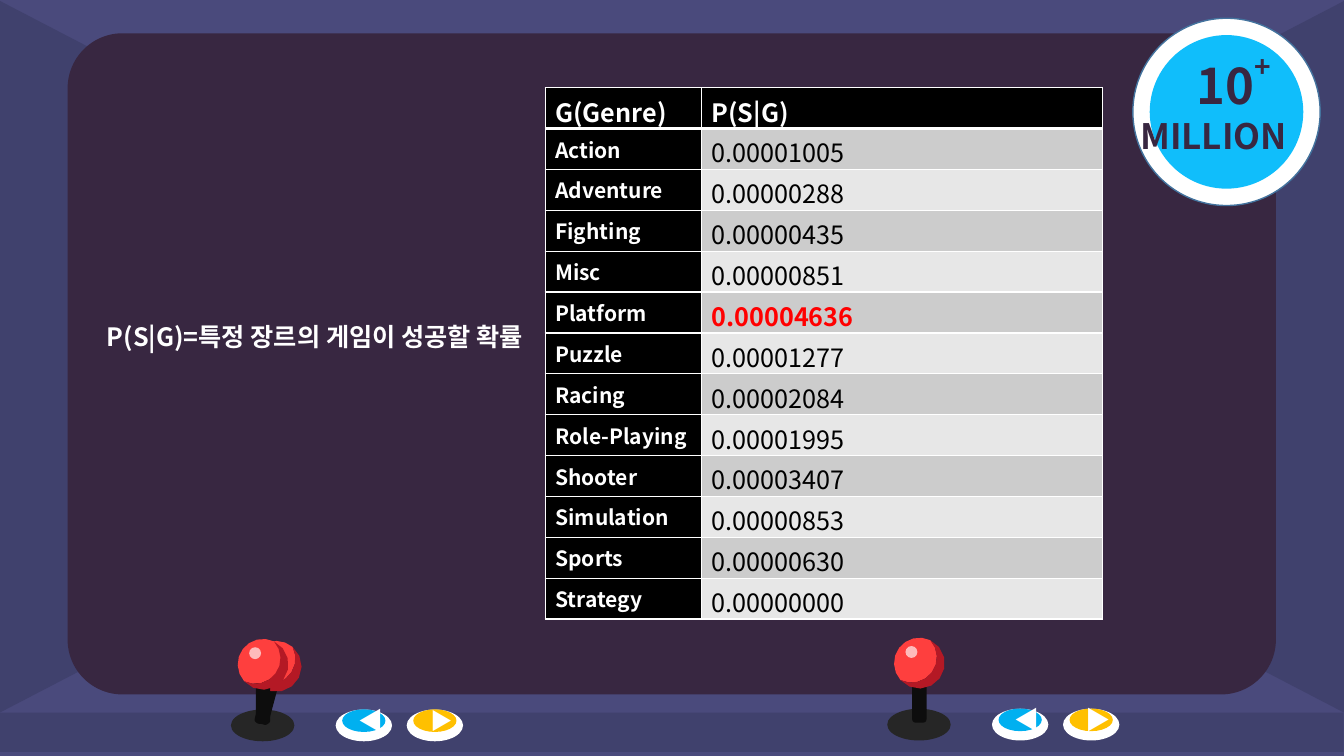
from math import acos, atan2, cos, pi, radians, sin

from lxml import etree
from pptx import Presentation
from pptx.dml.color import RGBColor
from pptx.enum.shapes import MSO_SHAPE
from pptx.enum.text import MSO_ANCHOR, PP_ALIGN
from pptx.oxml.ns import qn
from pptx.util import Cm, Pt

ELLIPSE, RECT = MSO_SHAPE.OVAL, MSO_SHAPE.RECTANGLE
ROUNDED, TRAPEZOID = MSO_SHAPE.ROUNDED_RECTANGLE, MSO_SHAPE.TRAPEZOID
LEFT, CENTER = PP_ALIGN.LEFT, PP_ALIGN.CENTER
TOP, MIDDLE = MSO_ANCHOR.TOP, MSO_ANCHOR.MIDDLE
FONT = "Noto Sans CJK KR"
WHITE, PLUM, NAVY, BLACK = "FFFFFF", "382741", "40416D", "000000"
color = RGBColor.from_string

prs = Presentation()
prs.slide_width, prs.slide_height = Cm(33.87), Cm(19.05)
slide = prs.slides.add_slide(prs.slide_layouts[6])
slide.background.fill.solid()
slide.background.fill.fore_color.rgb = color("4A4A7C")
shapes = slide.shapes


def add_form(preset, center_x, center_y, width, height, fill, rotation=0, adjust=None):
    form = shapes.add_shape(preset, Cm(center_x - width / 2), Cm(center_y - height / 2), Cm(width), Cm(height))
    form.shadow.inherit = False
    form.fill.solid()
    form.fill.fore_color.rgb = color(fill)
    form.line.fill.background()
    form.rotation = rotation
    if adjust is not None:
        form.adjustments[0] = adjust
    return form


def write(paragraph, text, size, ink, bold=True, align=LEFT):
    paragraph.alignment = align
    run = paragraph.add_run()
    run.text = text
    for key, value in {"name": FONT, "size": Pt(size), "bold": bold}.items():
        setattr(run.font, key, value)
    run.font.color.rgb = color(ink)


add_form(RECT, 16.93, 18.45, 33.86, 0.99, NAVY)
for wall_x, turn in ((3.53, 90), (30.34, 270)):
    add_form(TRAPEZOID, wall_x, 8.99, 17.93, 7.06, NAVY, turn, 0.52)
add_form(ROUNDED, 16.93, 9.17, 30.45, 16.66, PLUM, adjust=0.083)

RADIUS, LIGHT_SHIFT, ARC_STEPS = 0.64, 0.25, 4
half_arc = acos(LIGHT_SHIFT / 2 / RADIUS)
for station_x, base_y, play_size, sticks in (
    (6.62, 18.28, 16, ((6.96, 16.79, 15), (6.63, 16.74, 0))),
    (23.16, 18.26, 18, ((23.17, 16.71, 0),)),
):
    add_form(ELLIPSE, station_x, base_y, 1.6, 0.8, "262626")
    for offset, cap_color, arrow, size in ((2.55, "00B0F0", "◀", 18), (4.34, "FFC000", "▶", play_size)):
        add_form(ELLIPSE, station_x + offset, base_y, 1.42, 0.8, WHITE)
        cap = add_form(ELLIPSE, station_x + offset, base_y - 0.12, 1.09, 0.57, cap_color)
        cap_text = cap.text_frame
        for key, value in {"margin_left": Cm(0.36), "margin_right": 0, "margin_top": 0, "margin_bottom": 0,
                           "word_wrap": False, "vertical_anchor": MIDDLE}.items():
            setattr(cap_text, key, value)
        write(cap_text.paragraphs[0], arrow, size, WHITE, align=CENTER)

    for ball_x, ball_y, tilt in sticks:
        lean = radians(tilt)
        add_form(ROUNDED, ball_x - 0.6 * sin(lean), ball_y + 0.6 * cos(lean), 0.36, 1.8, "0D0D0D", tilt, 0.227)
        facing = atan2(0.06, 0.08) + lean
        light_x, light_y = ball_x - LIGHT_SHIFT * cos(facing), ball_y - LIGHT_SHIFT * sin(facing)
        for ball_color, middle, spread in (
            ("FE3F3E", facing + pi, half_arc),
            ("B41925", facing, half_arc - pi),
        ):
            outline = []
            for arc_x, arc_y, arc_middle, arc_spread in (
                (light_x, light_y, facing, half_arc),
                (ball_x, ball_y, middle, spread),
            ):
                for step in range(-ARC_STEPS, ARC_STEPS):
                    angle = arc_middle + arc_spread * step / ARC_STEPS
                    outline.append((Cm(arc_x + RADIUS * cos(angle)), Cm(arc_y + RADIUS * sin(angle))))
            builder = shapes.build_freeform(*outline[0])
            builder.add_line_segments(outline[1:], close=True)
            ball = builder.convert_to_shape()
            ball.shadow.inherit = False
            ball.fill.solid()
            ball.fill.fore_color.rgb = color(ball_color)
            ball.line.fill.background()
        glint = add_form(ELLIPSE, ball_x - 0.2 * cos(lean) + 0.28 * sin(lean),
                         ball_y - 0.2 * sin(lean) - 0.28 * cos(lean), 0.3, 0.3, WHITE, tilt)
        glint_color = glint.fill._xPr.find(qn("a:solidFill"))[0]
        etree.SubElement(glint_color, qn("a:alpha"), val="65000")

badge = add_form(ELLIPSE, 30.91, 2.82, 4.72, 4.72, WHITE)
badge.line.color.rgb = color("43739E")
badge.line.width = Pt(1)
add_form(ELLIPSE, 30.91, 2.82, 3.87, 3.87, "10BEFB")

for left, top, width, height, align, ink, lines in (
    (27.36, 1.28, 6.45, 2.82, CENTER, PLUM, (("10", 35), ("MILLION", 25))),
    (31.37, 1.12, 2.3, 0.97, LEFT, PLUM, (("+", 20),)),
    (2.44, 7.98, 11.1, 1.02, LEFT, WHITE, (("P(S|G)=특정 장르의 게임이 성공할 확률", 18),)),
):
    caption = shapes.add_textbox(Cm(left), Cm(top), Cm(width), Cm(height)).text_frame
    caption.word_wrap = True
    caption.vertical_anchor = TOP
    for index, (text, size) in enumerate(lines):
        paragraph = caption.add_paragraph() if index else caption.paragraphs[0]
        write(paragraph, text, size, ink, align=align)
        if text == "10":
            paragraph._p.get_or_add_pPr().set("marL", str(Cm(0.62)))

genre_odds = [
    ("G(Genre)", "P(S|G)"),
    ("Action", "0.00001005"),
    ("Adventure", "0.00000288"),
    ("Fighting", "0.00000435"),
    ("Misc", "0.00000851"),
    ("Platform", "0.00004636"),
    ("Puzzle", "0.00001277"),
    ("Racing", "0.00002084"),
    ("Role-Playing", "0.00001995"),
    ("Shooter", "0.00003407"),
    ("Simulation", "0.00000853"),
    ("Sports", "0.00000630"),
    ("Strategy", "0.00000000"),
]
odds = shapes.add_table(len(genre_odds), 2, Cm(13.74), Cm(2.21), Cm(14.05), Cm(13.39)).table
odds.columns[0].width, odds.columns[1].width = Cm(3.94), Cm(10.11)
for row, entry in enumerate(genre_odds):
    odds.rows[row].height = Cm(1.03)
    for column, text in enumerate(entry):
        cell = odds.cell(row, column)
        is_header, is_value = row == 0, row > 0 and column == 1
        is_best = text == "0.00004636"
        cell.margin_top, cell.margin_bottom = Cm(0.13), 0
        cell.fill.solid()
        cell.fill.fore_color.rgb = color(("E7E7E7", "CCCCCC")[row % 2] if is_value else BLACK)
        ink = "FF0000" if is_best else BLACK if is_value else WHITE
        write(cell.text_frame.paragraphs[0], text, 18 if is_header or is_value else 15, ink, is_best or not is_value)
        properties = cell._tc.get_or_add_tcPr()
        for position, side in enumerate(("lnL", "lnR", "lnT", "lnB")):
            heavy = (is_header and side == "lnB") or (row == 1 and side == "lnT")
            border = etree.Element(qn(f"a:{side}"), w=str(Pt(3 if heavy else 1)))
            border_fill = etree.SubElement(border, qn("a:solidFill"))
            etree.SubElement(border_fill, qn("a:srgbClr"), val=WHITE)
            properties.insert(position, border)

prs.save("out.pptx")
